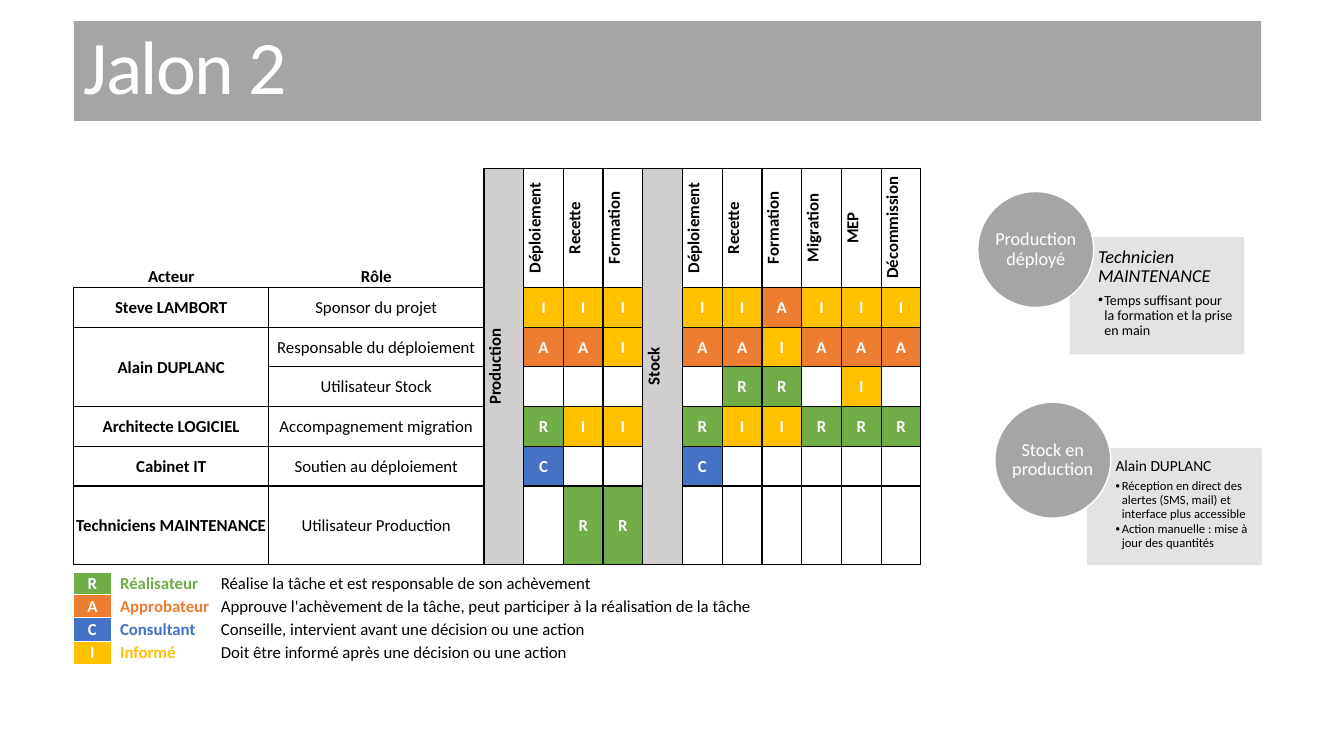
from lxml.etree import SubElement
from pptx import Presentation
from pptx.dml.color import RGBColor
from pptx.enum.shapes import MSO_SHAPE
from pptx.enum.text import MSO_ANCHOR, MSO_AUTO_SIZE, PP_ALIGN
from pptx.oxml.ns import qn
from pptx.util import Pt

LEFT = 52.7
BLACK, WHITE, GREY, SECTION, CARD = "000000", "FFFFFF", "A5A5A5", "D0CECE", "E1E1E1"
CODE_FILLS = {"R": "70AD47", "A": "ED7D31", "C": "4472C4", "I": "FFC000"}

HEADERS = ["Acteur", "Rôle", "Production", "Déploiement", "Recette", "Formation", "Stock",
           "Déploiement", "Recette", "Formation", "Migration", "MEP", "Décommission"]
SECTIONS = [2, 6]
# Actor, role, then one code per column; section columns stay blank
ACTORS = [
    ("Steve LAMBORT", "Sponsor du projet", " III IIAIII"),
    ("Alain DUPLANC", "Responsable du déploiement", " AAI AAIAAA"),
    ("", "Utilisateur Stock", "      RR I "),
    ("Architecte LOGICIEL", "Accompagnement migration", " RII RIIRRR"),
    ("Cabinet IT", "Soutien au déploiement", " C   C     "),
    ("Techniciens MAINTENANCE", "Utilisateur Production", "  RR       "),
]
LEGEND = [
    ("R", "Réalisateur", "Réalise la tâche et est responsable de son achèvement"),
    ("A", "Approbateur",
     "Approuve l'achèvement de la tâche, peut participer à la réalisation de la tâche"),
    ("C", "Consultant", "Conseille, intervient avant une décision ou une action"),
    ("I", "Informé", "Doit être informé après une décision ou une action"),
]


def color(hex_string):
    return RGBColor.from_string(hex_string)


def add_run(paragraph, text, size, font_color=BLACK, bold=False, italic=False):
    run = paragraph.add_run()
    run.text = text
    font = run.font
    font.name, font.size, font.bold, font.italic = "Calibri", Pt(size), bold, italic
    font.color.rgb = color(font_color)
    return run


def set_margins(frame, left, top, right, bottom):
    frame.margin_left, frame.margin_top = Pt(left), Pt(top)
    frame.margin_right, frame.margin_bottom = Pt(right), Pt(bottom)


def place(shape, left, top, width, height):
    shape.left, shape.top, shape.width, shape.height = Pt(left), Pt(top), Pt(width), Pt(height)


def paint(shape, fill, line):
    shape.fill.solid()
    shape.fill.fore_color.rgb = color(fill)
    shape.line.color.rgb = color(line)
    shape.line.width = Pt(1)


def add_table(slide, top, widths, heights):
    shape = slide.shapes.add_table(len(heights), len(widths), Pt(LEFT), Pt(top),
                                   Pt(sum(widths)), Pt(sum(heights)))
    table = shape.table
    table.first_row = table.horz_banding = False
    for column, width in zip(table.columns, widths):
        column.width = Pt(width)
    for row, height in zip(table.rows, heights):
        row.height = Pt(height)
    return table


def format_cell(cell, text="", fill=None, font_color=BLACK, bold=True, align=PP_ALIGN.CENTER,
                anchor=MSO_ANCHOR.MIDDLE, left=0.7, sides="LRTB", border=BLACK, width=1):
    set_margins(cell, left, 0.7, 0.7, 0)
    cell.vertical_anchor = anchor
    properties = cell._tc.get_or_add_tcPr()
    for side in sides:
        line = SubElement(properties, qn(f"a:ln{side}"), w=str(Pt(width)))
        SubElement(SubElement(line, qn("a:solidFill")), qn("a:srgbClr"), val=border)
    if fill:
        cell.fill.solid()
        cell.fill.fore_color.rgb = color(fill)
    else:
        cell.fill.background()
    if text:
        paragraph = cell.text_frame.paragraphs[0]
        paragraph.alignment = align
        add_run(paragraph, text, 12, font_color, bold)


def add_matrix(slide):
    table = add_table(slide, 120.3, [139.2, 153.8] + [28.4] * 11, [85] + [28.4] * 5 + [56])
    # Header row
    for index, header in enumerate(HEADERS):
        cell = table.cell(0, index)
        if index < 2:
            format_cell(cell, header, WHITE, anchor=MSO_ANCHOR.BOTTOM, sides=["B", "RB"][index])
        else:
            format_cell(cell, header, SECTION if index in SECTIONS else WHITE)
            cell._tc.get_or_add_tcPr().set("vert", "vert270")
    # Actor rows
    for row, (actor, role, codes) in enumerate(ACTORS, start=1):
        format_cell(table.cell(row, 0), actor, WHITE)
        format_cell(table.cell(row, 1), role, WHITE, bold=False)
        for column, code in enumerate(codes, start=2):
            fill = SECTION if column in SECTIONS else CODE_FILLS.get(code, WHITE)
            format_cell(table.cell(row, column), code.strip(), fill, WHITE)
    # Merged cells
    for column in SECTIONS:
        table.cell(0, column).merge(table.cell(len(ACTORS), column))
    table.cell(2, 0).merge(table.cell(3, 0))


def add_legend(slide):
    table = add_table(slide, 408.8, [26.6, 77.8, 398.2], [16, 16, 17, 17])
    for row, (code, name, meaning) in enumerate(LEGEND):
        fill = CODE_FILLS[code]
        format_cell(table.cell(row, 0), code, fill, WHITE, border=WHITE, width=0.5)
        format_cell(table.cell(row, 1), name, None, fill, align=PP_ALIGN.LEFT, left=6.5,
                    sides="L", border=WHITE, width=0.5)
        format_cell(table.cell(row, 2), meaning, bold=False, align=PP_ALIGN.LEFT, sides="")


def format_title(title):
    place(title, LEFT, 15.1, 848.2, 71.3)
    title.fill.solid()
    title.fill.fore_color.rgb = color(GREY)
    frame = title.text_frame
    frame.auto_size = MSO_AUTO_SIZE.NONE
    frame.vertical_anchor = MSO_ANCHOR.MIDDLE
    paragraph = frame.paragraphs[0]
    paragraph.alignment, paragraph.line_spacing = PP_ALIGN.LEFT, 0.85
    run = add_run(paragraph, "Jalon 2", 54, WHITE)
    run._r.get_or_add_rPr().set("spc", "-120")


def format_card(card, left, top, heading, heading_size, italic, points, point_size):
    place(card, left, top, 123.8, 82.8)
    paint(card, CARD, CARD)
    for rgb in card._element.spPr.iter(qn("a:srgbClr")):
        SubElement(rgb, qn("a:alpha"), val="90000")
    frame = card.text_frame
    frame.word_wrap, frame.auto_size = True, MSO_AUTO_SIZE.NONE
    frame.vertical_anchor = MSO_ANCHOR.TOP
    set_margins(frame, 19.8, 6.8, 6.8, 6.8)
    for index, text in enumerate([heading] + points):
        paragraph = frame.add_paragraph() if index else frame.paragraphs[0]
        properties = paragraph._p.get_or_add_pPr()
        indent = Pt(4.5) if index else 0
        properties.set("marL", str(indent))
        properties.set("indent", str(-indent))
        if index:
            paragraph.level = 1
            SubElement(properties, qn("a:buChar"), char="•")
        else:
            SubElement(properties, qn("a:buNone"))
        size = point_size if index else heading_size
        paragraph.alignment, paragraph.line_spacing = PP_ALIGN.LEFT, 0.9
        paragraph.space_before = Pt(0)
        paragraph.space_after = Pt(round(size * (0.15 if index else 0.35), 1))
        add_run(paragraph, text, size, italic=italic and not index)


def add_circle(slide, left, top, text):
    circle = slide.shapes.add_shape(MSO_SHAPE.OVAL, Pt(left), Pt(top), Pt(82.8), Pt(82.8))
    circle.shadow.inherit = False
    paint(circle, GREY, WHITE)
    frame = circle.text_frame
    frame.word_wrap, frame.vertical_anchor = True, MSO_ANCHOR.MIDDLE
    set_margins(frame, 0, 0, 0, 0)
    paragraph = frame.paragraphs[0]
    paragraph.alignment, paragraph.line_spacing = PP_ALIGN.CENTER, 0.9
    add_run(paragraph, text, 13, WHITE)


def main():
    presentation = Presentation()
    presentation.slide_width, presentation.slide_height = Pt(960), Pt(540)
    slide = presentation.slides.add_slide(presentation.slide_layouts[3])
    title, stock_card, production_card = slide.placeholders

    format_title(title)
    add_matrix(slide)
    add_legend(slide)

    # Milestone cards with their circles
    format_card(stock_card, 777, 320.4, "Alain DUPLANC", 11, False,
                ["Réception en direct des alertes (SMS, mail) et interface plus accessible",
                 "Action manuelle : mise à jour des quantités"], 9)
    add_circle(slide, 710.6, 287.3, "Stock en production")
    format_card(production_card, 764.6, 169.9, "Technicien MAINTENANCE", 13, True,
                ["Temps suffisant pour la formation et la prise en main"], 10)
    add_circle(slide, 698.4, 136.8, "Production déployé")

    presentation.save("out.pptx")


if __name__ == "__main__":
    main()
